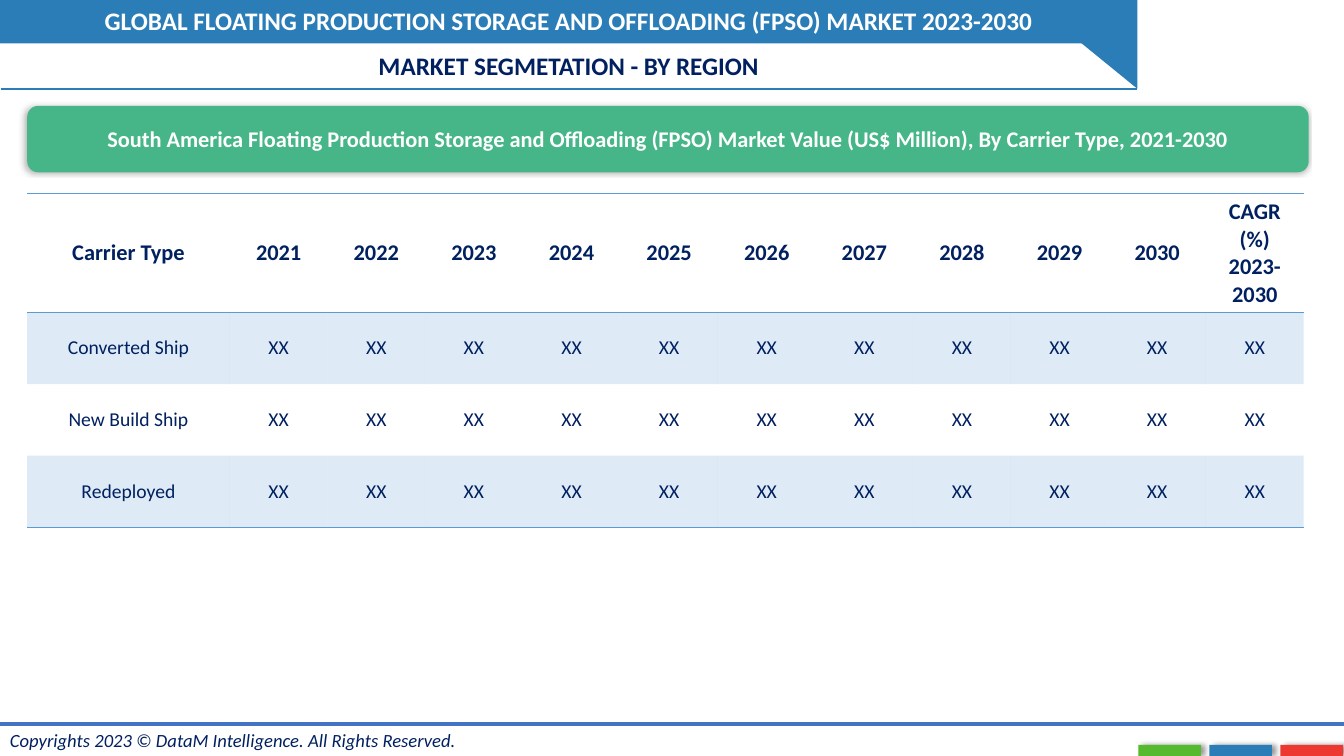
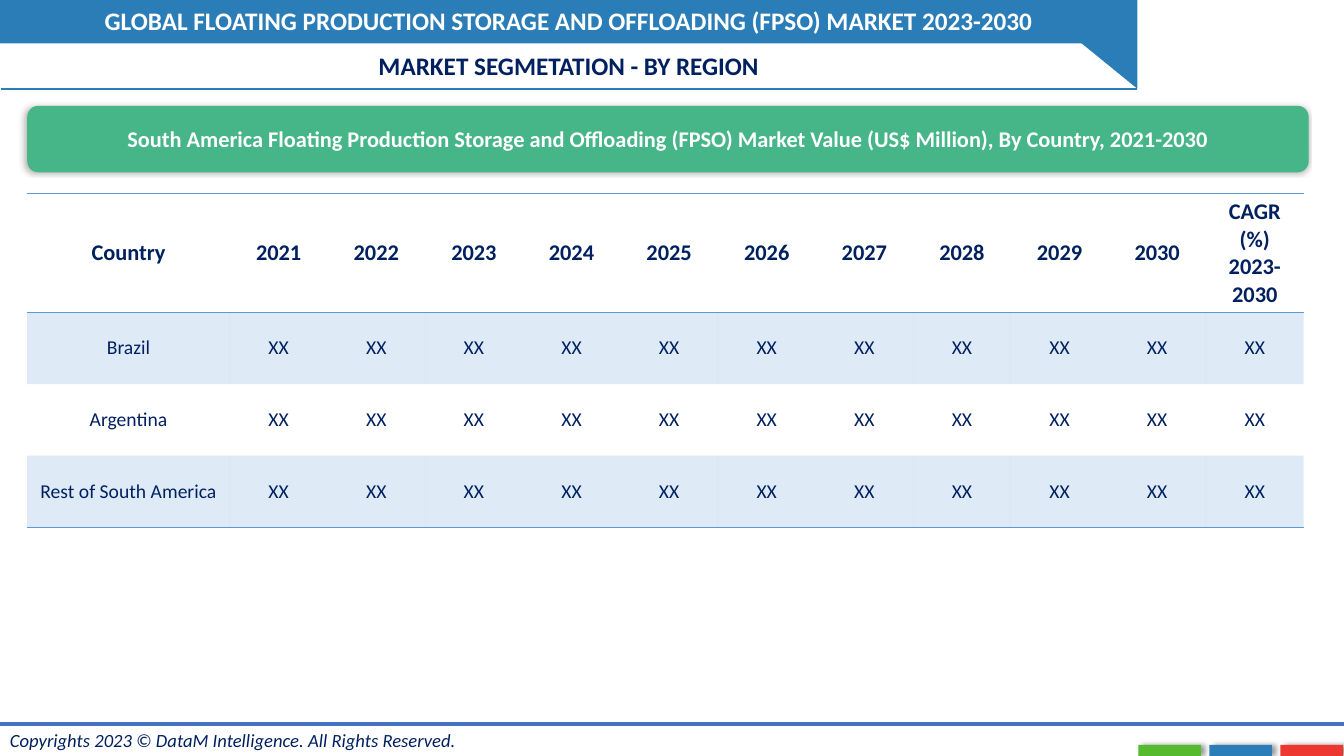
from lxml.etree import SubElement
from pptx import Presentation
from pptx.dml.color import RGBColor
from pptx.enum.shapes import MSO_CONNECTOR, MSO_SHAPE
from pptx.enum.text import MSO_ANCHOR, MSO_AUTO_SIZE, PP_ALIGN
from pptx.oxml.ns import qn
from pptx.util import Inches, Pt

REPORT = "GLOBAL FLOATING PRODUCTION STORAGE AND OFFLOADING (FPSO) MARKET 2023-2030"
SECTION = "MARKET SEGMETATION - BY REGION"
COPYRIGHT = "Copyrights 2023 © DataM Intelligence. All Rights Reserved."
HEADING = ("South America Floating Production Storage and Offloading (FPSO) "
           "Market Value (US$ Million), By {}, 2021-2030")
VALUE_HEADS = [str(year) for year in range(2021, 2031)] + ["CAGR (%) 2023-2030"]
PLACEHOLDER = "XX"
SEGMENTS = [
    ("Carrier Type", ["Converted Ship", "New Build Ship", "Redeployed"]),
    ("Country", ["Brazil", "Argentina", "Rest of South America"]),
]

WHITE = RGBColor(0xFF, 0xFF, 0xFF)
NAVY = RGBColor(0x00, 0x20, 0x60)
BLUE = RGBColor(0x2B, 0x7D, 0xB7)
RULE_BLUE = RGBColor(0x44, 0x72, 0xC4)
TABLE_BLUE = RGBColor(0x5B, 0x9B, 0xD5)
BANNER_GREEN = RGBColor(0x46, 0xB6, 0x88)
TAB_COLOURS = [RGBColor(0x56, 0xBA, 0x2E), BLUE, RGBColor(0xED, 0x38, 0x32)]

FONT = "Calibri"
SLIDE_W, SLIDE_H = 13.33, 7.5
HEADER_W, HEADER_H = 11.28, 0.88
FOOTER_Y = 7.18
MARGIN = 0.27
TABLE_W, LABEL_W = 12.66, 2.01
HEAD_ROW_H, ROW_H = 1.18, 0.71


def write(tf, text, size, colour, bold=False, italic=False, align=PP_ALIGN.CENTER):
    p = tf.paragraphs[0]
    p.alignment = align
    r = p.add_run()
    r.text = text
    r.font.name, r.font.size = FONT, Pt(size)
    r.font.bold, r.font.italic = bold, italic
    r.font.color.rgb = colour


def add_block(s, kind, box, colour):
    sp = s.shapes.add_shape(kind, *map(Inches, box))
    sp.fill.solid()
    sp.fill.fore_color.rgb = colour
    sp.line.fill.background()
    sp.shadow.inherit = False
    return sp


def add_shadow(sp, opacity, distance, angle):
    effects = sp.element.spPr.find(qn("a:effectLst"))
    shadow = SubElement(effects, qn("a:outerShdw"), blurRad=str(Pt(4)),
                        dist=str(Pt(distance)), dir=str(angle * 60000),
                        algn="r" if angle == 180 else "l", rotWithShape="0")
    black = SubElement(shadow, qn("a:srgbClr"), val="000000")
    SubElement(black, qn("a:alpha"), val=str(opacity * 1000))


def add_text(s, box, text, size, colour, wrap=True, **style):
    tf = s.shapes.add_textbox(*map(Inches, box)).text_frame
    tf.word_wrap = wrap
    tf.auto_size = MSO_AUTO_SIZE.SHAPE_TO_FIT_TEXT
    write(tf, text, size, colour, **style)


def add_rule(s, x1, x2, y, colour, width):
    line = s.shapes.add_connector(MSO_CONNECTOR.STRAIGHT,
                                  *map(Inches, (x1, y, x2, y)))
    line.line.color.rgb = colour
    line.line.width = Pt(width)
    SubElement(line.element.spPr, qn("a:effectLst"))


def add_frame(s):
    """Header band, section title and footer shared by all slides."""
    add_block(s, MSO_SHAPE.RECTANGLE, (0, 0, 10.74, 0.43), BLUE)
    for i, colour in enumerate(TAB_COLOURS):
        tab = add_block(s, MSO_SHAPE.RECTANGLE,
                        (11.29 + i * 0.705, 7.39, 0.62, 0.11), colour)
        add_shadow(tab, 40, 3, 0)
    corner = add_block(s, MSO_SHAPE.RIGHT_TRIANGLE,
                       (HEADER_W - 1.08, 0, 1.08, HEADER_H), BLUE)
    corner.rotation = 180
    add_text(s, (0, FOOTER_Y, 4.68, 0.33), COPYRIGHT, 13.3, NAVY,
             wrap=False, italic=True, align=PP_ALIGN.LEFT)
    add_rule(s, 0.01, HEADER_W, HEADER_H, BLUE, 1.5)
    add_rule(s, 0, SLIDE_W, FOOTER_Y, RULE_BLUE, 3)
    add_text(s, (0, 0, HEADER_W, 0.4), REPORT, 18, WHITE, bold=True)
    add_text(s, (0, 0.45, HEADER_W, 0.4), SECTION, 18, NAVY, bold=True)


def add_banner(s, text):
    sp = add_block(s, MSO_SHAPE.ROUNDED_RECTANGLE,
                   (MARGIN, 1.05, 12.71, 0.66), BANNER_GREEN)
    add_shadow(sp, 30, 2, 180)
    tf = sp.text_frame
    tf.word_wrap = True
    tf.vertical_anchor = MSO_ANCHOR.MIDDLE
    write(tf, text, 16, WHITE, bold=True)


def style_cell(cell, sides, tinted):
    """Draw borders on the given sides ("T", "B") and tint the cell if asked."""
    tc_pr = cell._tc.get_or_add_tcPr()
    for side in sides:
        ln = SubElement(tc_pr, qn(f"a:ln{side}"), w=str(Pt(1)))
        fill = SubElement(ln, qn("a:solidFill"))
        SubElement(fill, qn("a:srgbClr"), val=str(TABLE_BLUE))
    if tinted:
        cell.fill.solid()
        cell.fill.fore_color.rgb = TABLE_BLUE
        colour = tc_pr.find(qn("a:solidFill")).find(qn("a:srgbClr"))
        SubElement(colour, qn("a:alpha"), val="20000")
    else:
        cell.fill.background()


def add_value_table(s, label, names):
    rows = [[label] + VALUE_HEADS]
    rows += [[name] + [PLACEHOLDER] * len(VALUE_HEADS) for name in names]
    height = HEAD_ROW_H + ROW_H * len(names)
    frame = s.shapes.add_table(len(rows), len(rows[0]),
                               *map(Inches, (MARGIN, 1.92, TABLE_W, height)))
    table = frame.table
    table.first_row = table.horz_banding = False
    # "No Style, No Grid"
    style = next(frame.element.iter(qn("a:tableStyleId")))
    style.text = "{2D5ABB26-0587-4C30-8999-92F81FD0307C}"
    value_w = (TABLE_W - LABEL_W) / len(VALUE_HEADS)
    for i, column in enumerate(table.columns):
        column.width = Inches(value_w if i else LABEL_W)
    for i, texts in enumerate(rows):
        head = i == 0
        table.rows[i].height = Inches(HEAD_ROW_H if head else ROW_H)
        sides = "TB" if head else "B" if i == len(names) else ""
        for j, text in enumerate(texts):
            cell = table.cell(i, j)
            cell.vertical_anchor = MSO_ANCHOR.MIDDLE
            cell.margin_left = cell.margin_right = Inches(0.1 if head else 0)
            cell.margin_top = cell.margin_bottom = Inches(0.05 if head else 0)
            style_cell(cell, sides, i % 2 == 1)
            write(cell.text_frame, text, 16 if head else 14, NAVY, bold=head)


def main():
    prs = Presentation()
    prs.slide_width, prs.slide_height = Inches(SLIDE_W), Inches(SLIDE_H)
    for label, names in SEGMENTS:
        s = prs.slides.add_slide(prs.slide_layouts[6])
        add_frame(s)
        add_banner(s, HEADING.format(label))
        add_value_table(s, label, names)
    prs.save("out.pptx")


if __name__ == "__main__":
    main()
